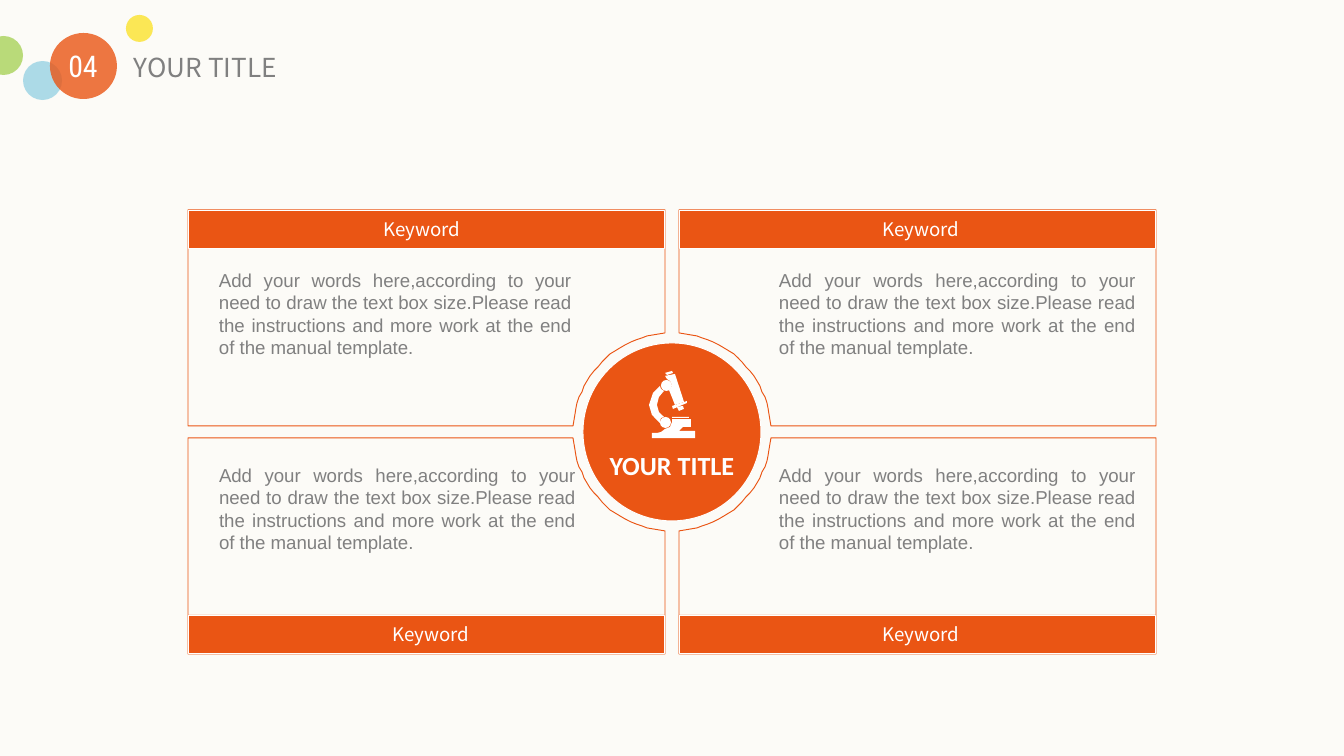
import math
import pptx
import pptx.util
import pptx.dml.color
import pptx.enum.shapes
import pptx.enum.text
import pptx.oxml.ns
import lxml.etree

PX = 914400 / 134.4
ORANGE, CREAM, WHITE, GREY = "EA5514", "FCFBF7", "FFFFFF", "808080"
HEADING_FONT = "Noto Sans CJK SC"
OVAL = pptx.enum.shapes.MSO_SHAPE.OVAL
RECTANGLE = pptx.enum.shapes.MSO_SHAPE.RECTANGLE
ALIGN = pptx.enum.text.PP_ALIGN
ANCHOR = pptx.enum.text.MSO_ANCHOR
hex_color = pptx.dml.color.RGBColor.from_string


def paint(shape, fill, line=None, opacity=100):
    shape.shadow.inherit = False
    shape.fill.solid()
    shape.fill.fore_color.rgb = hex_color(fill)
    if opacity < 100:
        color = shape.fill._xPr.find(".//" + pptx.oxml.ns.qn("a:srgbClr"))
        lxml.etree.SubElement(color, pptx.oxml.ns.qn("a:alpha"), val=str(opacity * 1000))
    if line:
        shape.line.color.rgb = hex_color(line)
        shape.line.width = pptx.util.Pt(0.5)
    else:
        shape.line.fill.background()


def write(box, text, size, font, color, align, inset=0, wrap=True, anchor=ANCHOR.MIDDLE):
    frame = box.text_frame
    frame.text = text
    frame.word_wrap = wrap
    frame.auto_size = pptx.enum.text.MSO_AUTO_SIZE.NONE
    frame.vertical_anchor = anchor
    frame.margin_left = frame.margin_right = int(inset * PX)
    frame.margin_top = frame.margin_bottom = int(inset * PX / 2)
    paragraph = frame.paragraphs[0]
    paragraph.alignment = align
    run = paragraph.runs[0]
    run.font.size = pptx.util.Pt(size)
    run.font.name = font
    run.font.color.rgb = hex_color(color)
    return run


deck = pptx.Presentation()
deck.slide_width, deck.slide_height = int(1344 * PX), int(756 * PX)
slide = deck.slides.add_slide(deck.slide_layouts[5])
shapes = slide.shapes
slide.background.fill.solid()
slide.background.fill.fore_color.rgb = hex_color(CREAM)

title = shapes.title
title.left, title.top, title.width, title.height = [int(v * PX) for v in (134, 51, 409, 32)]
write(title, "YOUR TITLE", 14, HEADING_FONT, GREY, ALIGN.LEFT)

center_x, center_y = 672, 432
half_width, half_height = 484, 222
gap_x, gap_y = 7, 6
notch = 99
first_angle = math.asin(gap_y / notch)
last_angle = math.acos(gap_x / notch)
angles = [first_angle + (last_angle - first_angle) * i / 24 for i in range(25)]
quadrants = [(-1, 1), (1, 1), (-1, -1), (1, -1)]

for side_x, side_y in quadrants:
    outline = [(notch * math.cos(a), notch * math.sin(a)) for a in angles]
    outline += [(gap_x, half_height), (half_width, half_height), (half_width, gap_y)]
    points = [(center_x + side_x * x, center_y + side_y * y) for x, y in outline]
    builder = shapes.build_freeform(*points[0], scale=PX)
    builder.add_line_segments(points[1:], close=True)
    paint(builder.convert_to_shape(), CREAM, ORANGE)

bar_width, bar_height = half_width - gap_x, 39
keyword_lefts = {(-1, -1): 383, (1, -1): 882, (-1, 1): 392, (1, 1): 882}
for (side_x, side_y), keyword_left in keyword_lefts.items():
    bar_left = center_x + (gap_x if side_x > 0 else -half_width)
    bar_top = center_y + (half_height - bar_height if side_y > 0 else -half_height)
    bar = shapes.add_shape(RECTANGLE, *[int(v * PX) for v in (bar_left, bar_top, bar_width, bar_height)])
    paint(bar, ORANGE, WHITE)
    keyword = shapes.add_textbox(*[int(v * PX) for v in (keyword_left, bar_top + 8, 78, 23)])
    write(keyword, "Keyword", 10, HEADING_FONT, WHITE, ALIGN.CENTER, wrap=False)

hub = shapes.add_shape(OVAL, *[int(v * PX) for v in (583, 343, 178, 178)])
paint(hub, ORANGE, WHITE)
hub_title = shapes.add_textbox(*[int(v * PX) for v in (596, 442, 152, 46)])
write(hub_title, "YOUR TITLE", 14, "Calibri", WHITE, ALIGN.CENTER, 13, False).font.bold = True

description = ("Add your words here,according to your need to draw the text box size."
               "Please read the instructions and more work at the end of the manual template.")
for left, top, width in [(206, 262, 378), (206, 457, 382), (766, 262, 382), (766, 457, 382)]:
    body = shapes.add_textbox(*[int(v * PX) for v in (left, top, width, 126)])
    write(body, description, 10, "Arial", GREY, ALIGN.JUSTIFY, 13, anchor=ANCHOR.TOP)

microscope = shapes.add_group_shape()
microscope_outlines = [
    [(687, 403), (673, 409), (672, 406), (687, 401)],
    [(677, 407), (679, 411), (684, 409), (683, 406)],
    [(665, 373), (667, 375), (673, 373), (672, 371)],
    [(675, 374), (665, 376), (667, 379), (670, 381), (672, 385), (671, 388),
     (669, 390), (675, 405), (684, 402)],
    [(660, 423), (660, 421), (661, 418), (664, 417), (659, 412), (657, 405), (659, 397),
     (664, 391), (661, 389), (660, 386), (653, 393), (649, 405), (652, 415)],
    [(679, 431), (683, 427), (691, 427), (691, 419), (672, 419), (672, 422), (670, 427),
     (665, 429), (661, 432), (657, 433), (652, 433), (652, 438), (695, 438), (695, 431)],
]
for outline in microscope_outlines:
    builder = microscope.shapes.build_freeform(*outline[0], scale=PX)
    builder.add_line_segments(outline[1:], close=True)
    paint(builder.convert_to_shape(), WHITE)
for kind, *place in [(RECTANGLE, 672, 417, 17, 1), (OVAL, 661, 380, 11, 11), (OVAL, 660, 417, 11, 11)]:
    paint(microscope.shapes.add_shape(kind, *[int(v * PX) for v in place]), WHITE)

for color, *place in [("FBE22D", 126, 15, 27, 27), ("A9D25A", -16, 36, 39, 39),
                      ("98D2E3", 23, 61, 39, 39), (ORANGE, 50, 33, 67, 66)]:
    dot = shapes.add_shape(OVAL, *[int(v * PX) for v in place])
    paint(dot, color, opacity=80)
number = shapes.add_textbox(*[int(v * PX) for v in (59, 48, 48, 36)])
write(number, "04", 16, "Roboto Condensed", WHITE, ALIGN.CENTER)

deck.save("out.pptx")
